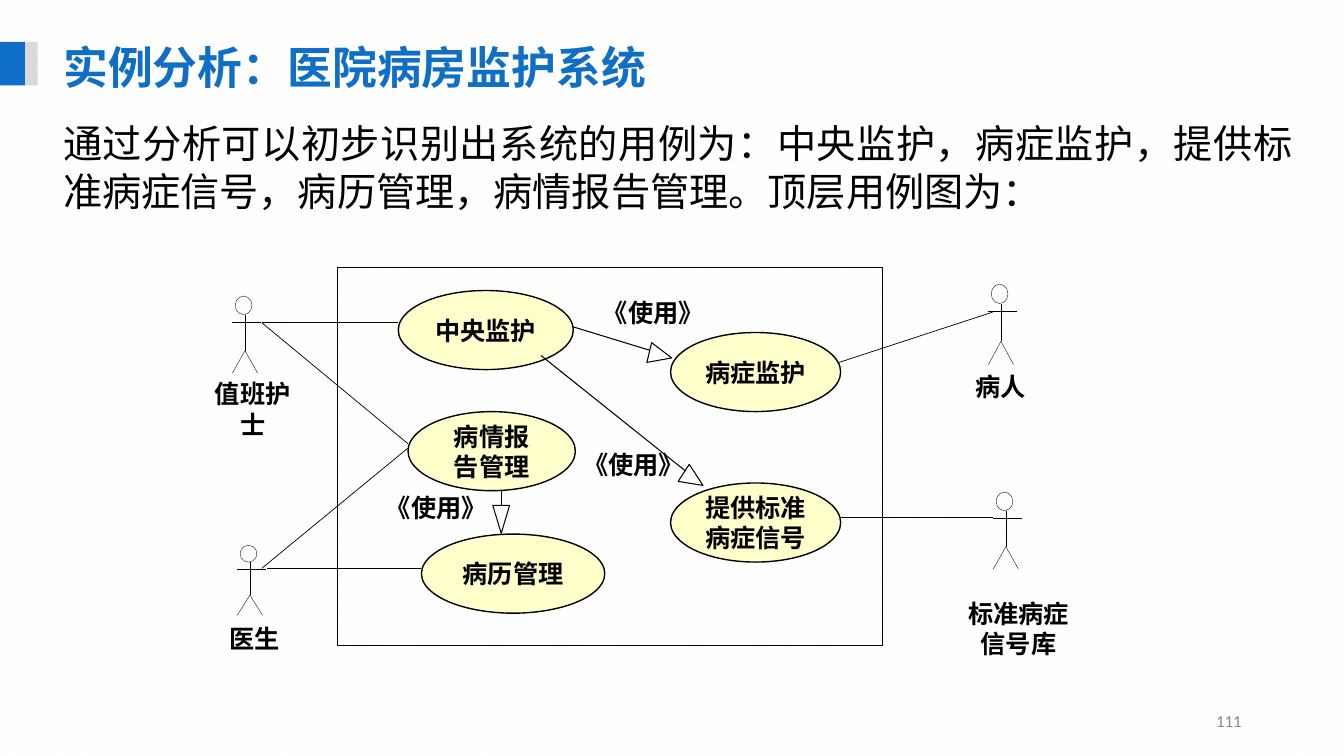
from lxml import etree
from pptx import Presentation
from pptx.dml.color import RGBColor
from pptx.enum.dml import MSO_PATTERN
from pptx.enum.shapes import MSO_CONNECTOR, MSO_SHAPE
from pptx.enum.text import MSO_ANCHOR, PP_ALIGN
from pptx.oxml.ns import qn
from pptx.util import Pt

CJK, SERIF, NUMBER = "Noto Sans CJK SC", "Times New Roman", "Calibri"
BLUE, GREY, BLACK, CREAM, WHITE = "0F6FC6", "D9D9D9", "000000", "FFFFCC", "FFFFFF"


def color(value):
    return RGBColor.from_string(value)


class Diagram:
    def __init__(self, slide):
        self.slide = slide
        self.shapes = slide.shapes

    def background(self, fore, back):
        fill = self.slide.background.fill
        fill.patterned()
        fill.pattern = MSO_PATTERN.WIDE_UPWARD_DIAGONAL
        fill.fore_color.rgb = color(fore)
        fill.back_color.rgb = color(back)

    def set_text(self, sp, text, size, font=SERIF, ink=BLACK, bold=True,
                 align=PP_ALIGN.CENTER, anchor=MSO_ANCHOR.TOP, wrap=True):
        tf = sp.text_frame
        tf.text = text
        tf.word_wrap = wrap
        tf.vertical_anchor = anchor
        for p in tf.paragraphs:
            p.alignment = align
            for r in p.runs:
                r.font.size = Pt(size)
                r.font.name = font
                r.font.bold = bold
                r.font.color.rgb = color(ink)
                ea = etree.SubElement(r.font._element, qn("a:ea"))
                ea.set("typeface", CJK)

    def title(self, text, x, y, w, h):
        sp = self.shapes.title
        sp.left, sp.top, sp.width, sp.height = Pt(x), Pt(y), Pt(w), Pt(h)
        self.set_text(sp, text, 32, CJK, BLUE, align=PP_ALIGN.LEFT)

    def label(self, text, x, y, w, h=29, size=18, **style):
        sp = self.shapes.add_textbox(Pt(x), Pt(y), Pt(w), Pt(h))
        self.set_text(sp, text, size, **style)

    def shape(self, kind, x, y, w, h, fill=None, line=None, rotation=0):
        sp = self.shapes.add_shape(kind, Pt(x), Pt(y), Pt(w), Pt(h))
        sp.shadow.inherit = False
        sp.rotation = rotation
        if fill:
            sp.fill.solid()
            sp.fill.fore_color.rgb = color(fill)
        else:
            sp.fill.background()
        if line:
            sp.line.color.rgb = color(BLACK)
            sp.line.width = Pt(line)
        else:
            sp.line.fill.background()
        return sp

    def line(self, x1, y1, x2, y2, width=0.5):
        cx = self.shapes.add_connector(
            MSO_CONNECTOR.STRAIGHT, Pt(x1), Pt(y1), Pt(x2), Pt(y2))
        cx.line.color.rgb = color(BLACK)
        cx.line.width = Pt(width)
        etree.SubElement(cx._element.spPr, qn("a:effectLst"))

    def use_case(self, text, x, y, w):
        sp = self.shape(MSO_SHAPE.OVAL, x, y, w, 56.5, CREAM, 1)
        self.set_text(sp, text, 18, anchor=MSO_ANCHOR.MIDDLE, wrap=False)

    def actor(self, x, y, h):
        neck, arms, hips = (y + h * part for part in (0.24, 0.34, 0.71))
        self.shape(MSO_SHAPE.OVAL, x - 7, y, 12, neck - y, line=0.25)
        self.line(x, neck, x, hips, 0.25)
        self.line(x - 9.5, arms, x + 11.5, arms, 0.25)
        for foot in (x - 9, x + 9):
            self.line(x, hips, foot, y + h, 0.25)

    def arrow(self, start, end, head, rotation):
        self.line(*start, *end, 0.75)
        self.shape(MSO_SHAPE.ISOSCELES_TRIANGLE, *head, WHITE, 0.75, rotation)


def main():
    prs = Presentation()
    prs.slide_width, prs.slide_height = Pt(960), Pt(540)
    d = Diagram(prs.slides.add_slide(prs.slide_layouts[5]))
    d.background("F8F8F8", WHITE)
    d.shape(MSO_SHAPE.RECTANGLE, 0, 30, 18, 31, BLUE)
    d.shape(MSO_SHAPE.RECTANGLE, 18, 30, 9, 31, GREY)
    d.title("实例分析：医院病房监护系统", 38, 25, 703, 46)
    d.label("通过分析可以初步识别出系统的用例为：中央监护，病症监护，提供标准病症信号，"
            "病历管理，病情报告管理。顶层用例图为：", 38, 82, 893, 75, 28,
            font=CJK, bold=False, align=PP_ALIGN.JUSTIFY)
    d.label("111", 678, 500.5, 216, 29, 12, font=NUMBER, ink="898989", bold=False,
            align=PP_ALIGN.RIGHT, anchor=MSO_ANCHOR.MIDDLE)

    d.shape(MSO_SHAPE.RECTANGLE, 240.5, 191, 389.5, 270, line=0.25)
    for text, x, y, w in (("中央监护", 284.5, 207.5, 125),
                          ("病症监护", 479, 237.5, 121.5),
                          ("病情报\n告管理", 291.5, 294, 119.5),
                          ("提供标准\n病症信号", 479, 345, 121.5),
                          ("病历管理", 301, 381.5, 131)):
        d.use_case(text, x, y, w)

    for x, y, h in ((175, 211.5, 55), (178.5, 389.5, 50),
                    (715, 203, 57.5), (718.5, 351.5, 55)):
        d.actor(x, y, h)
    for text, x, y, w, h in (("值班护士", 137.5, 267, 86, 29),
                             ("医生", 139.5, 442, 85, 29),
                             ("病人", 675.5, 262, 78.5, 29),
                             ("标准病症\n信号库", 661, 423.5, 133, 50)):
        d.label(text, x, y, w, h)

    for ends in ((187, 230.5, 284.5, 230.5), (187, 230.5, 291.5, 317),
                 (187, 406, 291.5, 320), (191, 406, 301, 406),
                 (599, 259, 709, 223), (601, 369.5, 709, 369.5, 1)):
        d.line(*ends)

    d.arrow((409.5, 233.5), (470, 252), (464.5, 245.5, 14.5, 16.5), 103.5)
    d.arrow((386.5, 254), (491, 337.5), (488, 334, 14.5, 16.5), 123)
    d.arrow((358, 350.5), (358, 368), (352, 361, 12, 20), 180)
    for x, y in ((423.5, 209), (409.5, 317.5), (268.5, 348)):
        d.label("《使用》", x, y, 90, align=PP_ALIGN.LEFT)
    prs.save("out.pptx")


if __name__ == "__main__":
    main()
